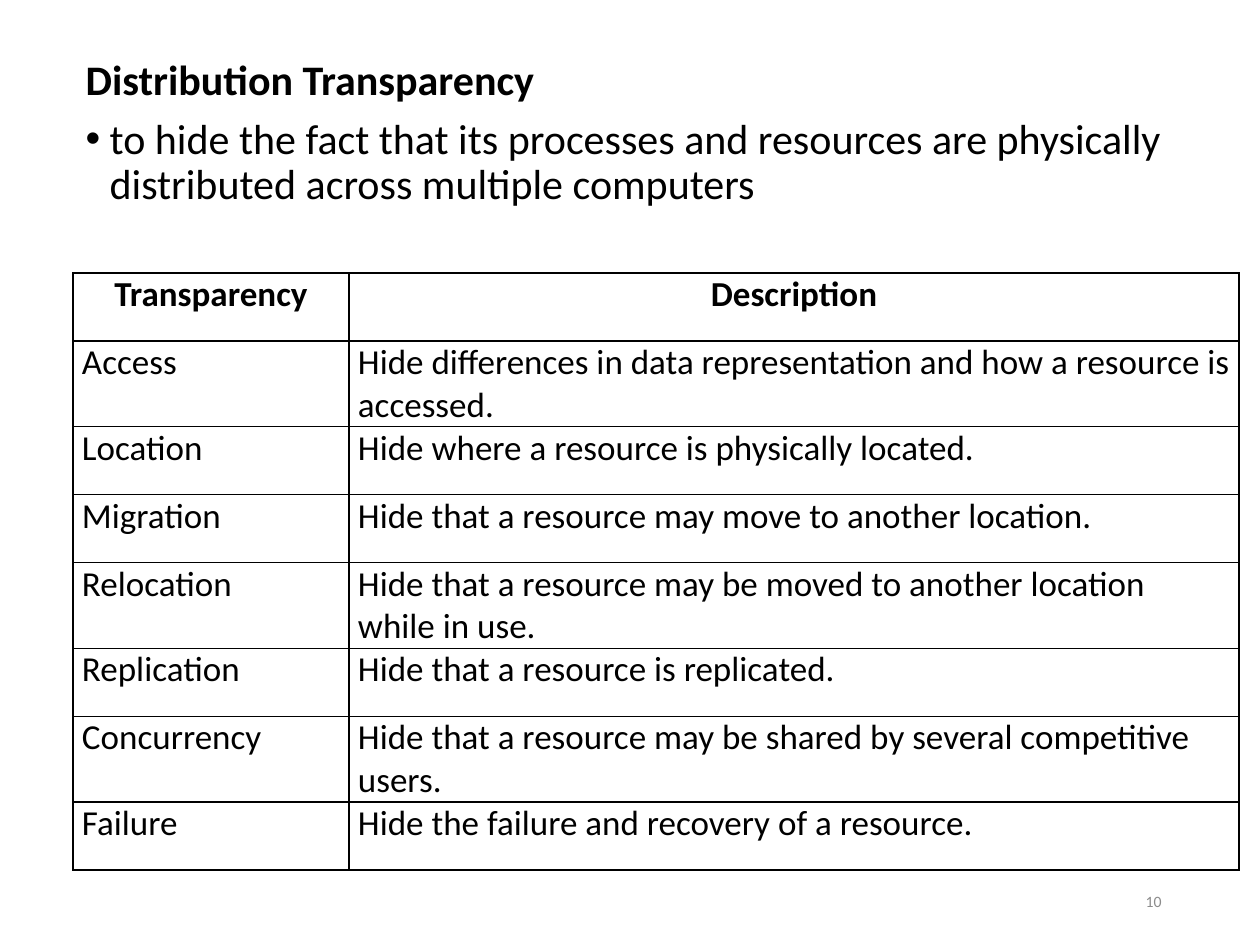
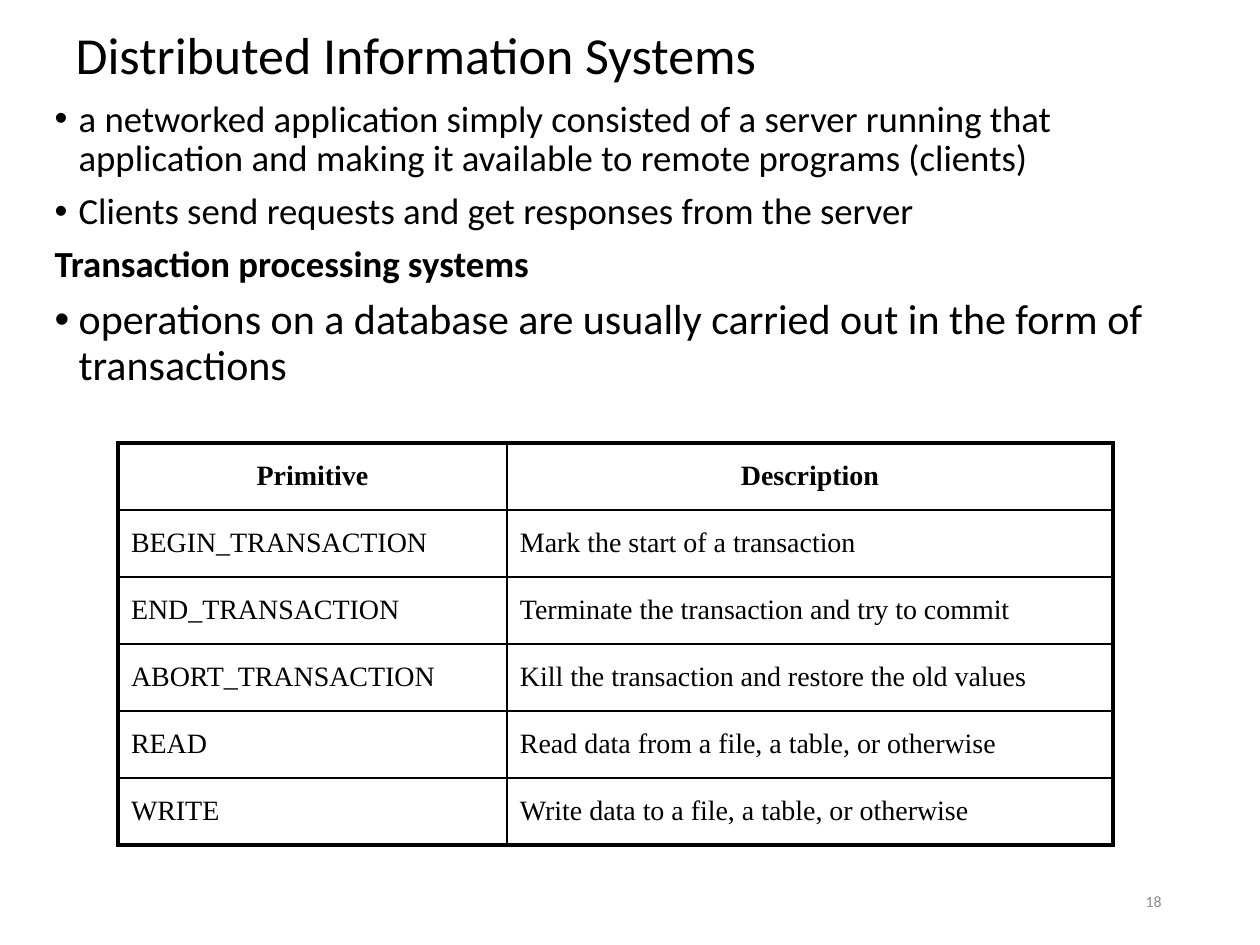
"""Builds two slides on distributed systems, each with a bullet list and a ruled table."""
import pptx
import pptx.dml.color
import pptx.enum.text
import pptx.oxml
import pptx.oxml.ns
import pptx.util

PX = 914400 / 126
BLACK = "000000"
GREY = "8C8C8C"
BODY_FONT = "Calibri"
ALIGN = pptx.enum.text.PP_ALIGN
ANCHOR = pptx.enum.text.MSO_ANCHOR
NAMESPACE = pptx.oxml.ns.nsdecls("a")


def px(length):
    return pptx.util.Emu(round(length * PX))


def style(paragraph, size, font=BODY_FONT, color=BLACK, bold=False, align=ALIGN.LEFT):
    paragraph.alignment = align
    for run in paragraph.runs:
        run.font.size = pptx.util.Pt(size)
        run.font.name = font
        run.font.bold = bold
        run.font.color.rgb = pptx.dml.color.RGBColor.from_string(color)


slides = [
    {
        "title": None,
        "number": "10",
        "body_box": (73, 53, 1124, 850),
        "body": [
            ("Distribution Transparency", 24, True),
            ("to hide the fact that its processes and resources are physically "
             "distributed across multiple computers", 24, False),
        ],
        "table_corner": (73, 273),
        "columns": (276, 890),
        "row_height": 68,
        "insets": (9, 0),
        "cell_font": (20, BODY_FONT),
        "cell_align": ALIGN.LEFT,
        "cell_anchor": ANCHOR.TOP,
        "frame_width": 1,
        "rows": [
            ("Transparency", "Description"),
            ("Access", "Hide differences in data representation and how a resource is accessed."),
            ("Location", "Hide where a resource is physically located."),
            ("Migration", "Hide that a resource may move to another location."),
            ("Relocation", "Hide that a resource may be moved to another location while in use."),
            ("Replication", "Hide that a resource is replicated."),
            ("Concurrency", "Hide that a resource may be shared by several competitive users."),
            ("Failure", "Hide the failure and recovery of a resource."),
        ],
    },
    {
        "title": "Distributed Information Systems",
        "number": "18",
        "body_box": (42, 94, 1155, 733),
        "body": [
            ("a networked application simply consisted of a server running that "
             "application and making it available to remote programs (clients)", 21, False),
            ("Clients send requests and get responses from the server", 21, False),
            ("Transaction processing systems", 21, True),
            ("operations on a database are usually carried out in the form of transactions", 24, False),
        ],
        "table_corner": (118, 443),
        "columns": (389, 606),
        "row_height": 67,
        "insets": (13, 6),
        "cell_font": (16, "Times New Roman"),
        "cell_align": ALIGN.JUSTIFY,
        "cell_anchor": ANCHOR.MIDDLE,
        "frame_width": 2.25,
        "rows": [
            ("Primitive", "Description"),
            ("BEGIN_TRANSACTION", "Mark the start of a transaction"),
            ("END_TRANSACTION", "Terminate the transaction and try to commit"),
            ("ABORT_TRANSACTION", "Kill the transaction and restore the old values"),
            ("READ", "Read data from a file, a table, or otherwise"),
            ("WRITE", "Write data to a file, a table, or otherwise"),
        ],
    },
]

presentation = pptx.Presentation()
presentation.slide_width = px(1260)
presentation.slide_height = px(945)

for content in slides:
    slide = presentation.slides.add_slide(presentation.slide_layouts[1])
    title, body = slide.placeholders

    if content["title"]:
        title.left, title.top, title.width, title.height = map(px, (63, 30, 1134, 98))
        frame = title.text_frame
        frame.text = content["title"]
        frame.auto_size = pptx.enum.text.MSO_AUTO_SIZE.NONE
        frame.vertical_anchor = ANCHOR.TOP
        frame.margin_top = 0
        frame.paragraphs[0].line_spacing = 0.9
        style(frame.paragraphs[0], 29.7)
    else:
        title.element.getparent().remove(title.element)

    body.left, body.top, body.width, body.height = map(px, content["body_box"])
    frame = body.text_frame
    frame.text = "\n".join(text for text, size, heading in content["body"])
    frame.auto_size = pptx.enum.text.MSO_AUTO_SIZE.NONE
    for paragraph, (text, size, heading) in zip(frame.paragraphs, content["body"]):
        style(paragraph, size, bold=heading)
        paragraph.line_spacing = 0.9
        paragraph.space_before = pptx.util.Pt(7.5)
        properties = paragraph._p.get_or_add_pPr()
        properties.set("marL", str(px(24)))
        properties.set("indent", str(px(-24)))
        if heading:
            properties.append(pptx.oxml.parse_xml(f"<a:buNone {NAMESPACE}/>"))
        else:
            properties.append(pptx.oxml.parse_xml(f'<a:buFont {NAMESPACE} typeface="Arial"/>'))
            properties.append(pptx.oxml.parse_xml(f'<a:buChar {NAMESPACE} char="•"/>'))

    rows, columns = content["rows"], content["columns"]
    left, top = content["table_corner"]
    table = slide.shapes.add_table(
        len(rows), len(columns), px(left), px(top),
        px(sum(columns)), px(content["row_height"] * len(rows))).table
    table.first_row = False
    table.horz_banding = False
    for column, width in zip(table.columns, columns):
        column.width = px(width)
    for row_index, row in enumerate(rows):
        table.rows[row_index].height = px(content["row_height"])
        for column_index, text in enumerate(row):
            cell = table.cell(row_index, column_index)
            header = row_index == 0
            cell.text_frame.text = text
            cell.vertical_anchor = content["cell_anchor"]
            cell.margin_left = cell.margin_right = px(content["insets"][0])
            cell.margin_top = cell.margin_bottom = px(content["insets"][1])
            cell.fill.background()
            style(cell.text_frame.paragraphs[0], *content["cell_font"], bold=header,
                  align=ALIGN.CENTER if header else content["cell_align"])
            on_frame = {
                "lnL": column_index == 0,
                "lnR": column_index == len(columns) - 1,
                "lnT": header,
                "lnB": row_index == len(rows) - 1,
            }
            for position, (side, outer) in enumerate(on_frame.items()):
                width = pptx.util.Pt(content["frame_width"] if outer else 1)
                cell._tc.get_or_add_tcPr().insert(position, pptx.oxml.parse_xml(
                    f'<a:{side} {NAMESPACE} w="{width}"><a:solidFill>'
                    f'<a:srgbClr val="{BLACK}"/></a:solidFill></a:{side}>'))

    number = slide.shapes.add_textbox(*map(px, (890, 876, 284, 50)))
    number.text_frame.word_wrap = True
    number.text_frame.vertical_anchor = ANCHOR.MIDDLE
    number.text_frame.text = content["number"]
    style(number.text_frame.paragraphs[0], 9, color=GREY, align=ALIGN.RIGHT)

presentation.save("out.pptx")
